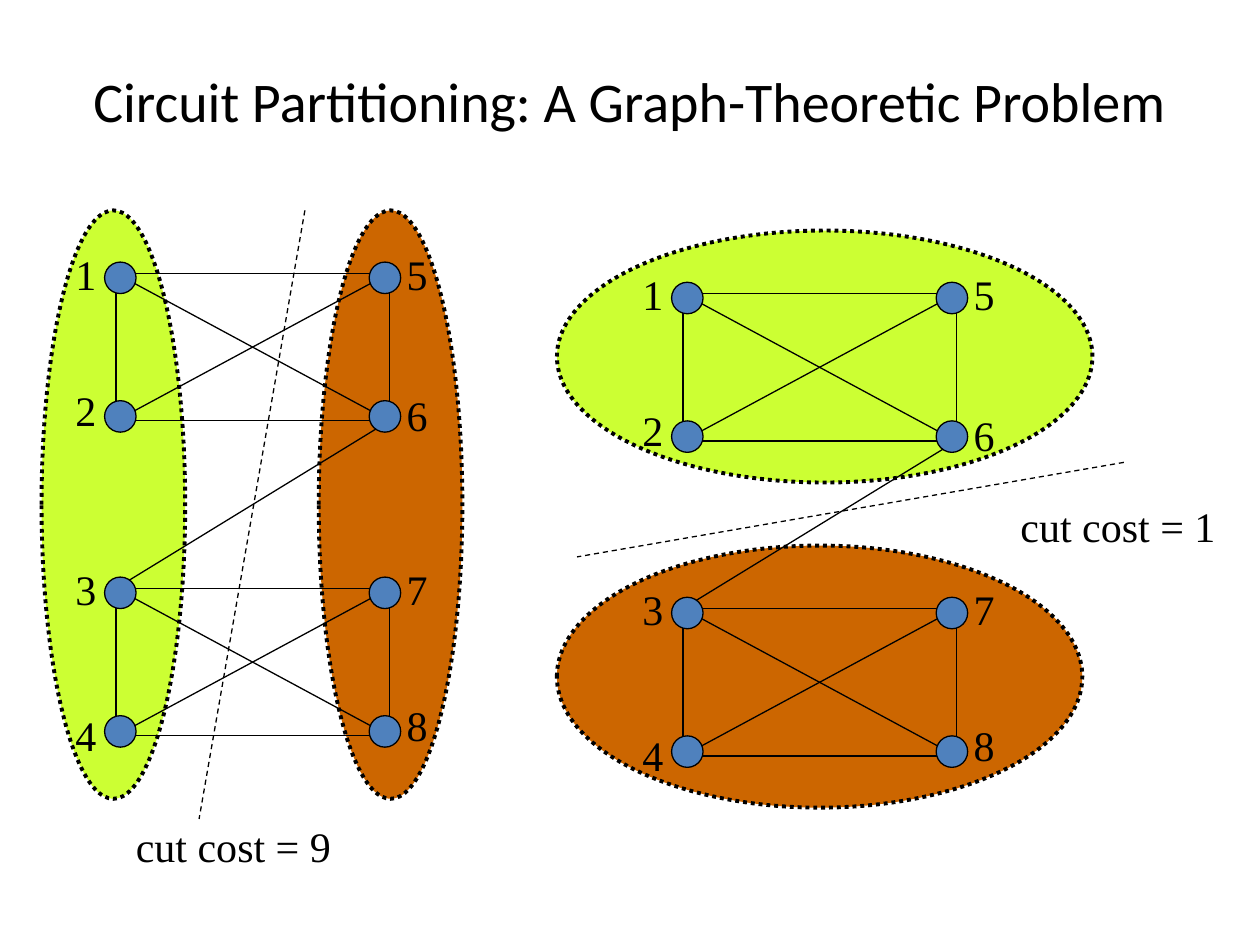
from itertools import product

from pptx import Presentation
from pptx.dml.color import RGBColor
from pptx.enum.dml import MSO_LINE_DASH_STYLE as DASH
from pptx.enum.shapes import MSO_CONNECTOR, MSO_SHAPE as SHAPE
from pptx.enum.text import MSO_ANCHOR as ANCHOR, MSO_AUTO_SIZE as AUTO_SIZE, PP_ALIGN as ALIGN
from pptx.oxml.ns import qn
from pptx.util import Inches, Pt

BLACK, LIME, ORANGE, BLUE = "000000", "CCFF33", "CC6600", "4F81BD"
TITLE_FORMAT = {"name": "Calibri", "size": Pt(32)}
LABEL_FORMAT = {"name": "Times New Roman", "size": Pt(24)}

# Graph geometry: two square cells, one above the other
CELL_W, CELL_H, CELL_STEP = 2.17, 1.17, 2.5
NODE_SIZE, NODE_INSET = 0.25, 0.09
LABEL_W, LABEL_H = 0.36, 0.5
NODE_XS = (-NODE_INSET, CELL_W - NODE_SIZE + NODE_INSET)
NODE_YS = (-NODE_INSET, CELL_H - NODE_SIZE + NODE_INSET)
LABEL_COLUMNS = (
    (-0.42, {"1": -0.25, "2": 0.83, "3": 2.25, "4": 3.41}),
    (2.21, {"5": -0.25, "6": 0.87, "7": 2.25, "8": 3.33}),
)


def rgb(color):
    return RGBColor.from_string(color)


def set_line(line, width=0.75, dash=None):
    line.color.rgb = rgb(BLACK)
    line.width = Pt(width)
    if dash:
        line.dash_style = dash


def format_text(paragraph, text, formats):
    paragraph.text = text
    font = paragraph.font
    for key, value in formats.items():
        setattr(font, key, value)
    font.color.rgb = rgb(BLACK)


def add_outline(slide, kind, box, fill=None, **line_format):
    shape = slide.shapes.add_shape(kind, *map(Inches, box))
    shape.shadow.inherit = False
    if fill:
        shape.fill.solid()
        shape.fill.fore_color.rgb = rgb(fill)
    else:
        shape.fill.background()
    set_line(shape.line, **line_format)


def add_edge(slide, start, end, dash=None):
    edge = slide.shapes.add_connector(MSO_CONNECTOR.STRAIGHT, *map(Inches, (*start, *end)))
    properties = edge._element.spPr
    set_line(edge.line, dash=dash)
    properties.append(properties.makeelement(qn("a:effectLst"), {}))


def add_label(slide, box, text, align=ALIGN.LEFT, anchor=ANCHOR.TOP):
    frame = slide.shapes.add_textbox(*map(Inches, box)).text_frame
    frame.word_wrap = False
    frame.auto_size = AUTO_SIZE.SHAPE_TO_FIT_TEXT
    frame.vertical_anchor = anchor
    frame.paragraphs[0].alignment = align
    format_text(frame.paragraphs[0], text, LABEL_FORMAT)


def add_title(slide, box, text):
    title = slide.shapes.title
    title.left, title.top, title.width, title.height = map(Inches, box)
    title.text_frame.vertical_anchor = ANCHOR.MIDDLE
    title.text_frame.paragraphs[0].alignment = ALIGN.CENTER
    format_text(title.text_frame.paragraphs[0], text, TITLE_FORMAT)


def add_partitions(slide, partitions):
    for box, fill in partitions:
        add_outline(slide, SHAPE.OVAL, box, fill, width=2.25, dash=DASH.ROUND_DOT)


def add_graph(slide, left, top):
    right = left + CELL_W
    cell_tops = (top, top + CELL_STEP)

    # Edges: sides and diagonals of each cell, then the link between cells
    for cell_top in cell_tops:
        bottom = cell_top + CELL_H
        add_outline(slide, SHAPE.RECTANGLE, (left, cell_top, CELL_W, CELL_H))
        add_edge(slide, (left, cell_top), (right, bottom))
        add_edge(slide, (right, cell_top), (left, bottom))
    add_edge(slide, (right, top + CELL_H), (left, cell_tops[1]))

    # Nodes
    for cell_top, y, x in product(cell_tops, NODE_YS, NODE_XS):
        add_outline(slide, SHAPE.OVAL, (left + x, cell_top + y, NODE_SIZE, NODE_SIZE), BLUE)

    # Node numbers
    for x, numbers in LABEL_COLUMNS:
        for number, y in numbers.items():
            add_label(slide, (left + x, top + y, LABEL_W, LABEL_H), number,
                      ALIGN.CENTER, ANCHOR.MIDDLE)


def add_cut(slide, start, end, cost_box, cost):
    add_edge(slide, start, end, DASH.DASH)
    add_label(slide, cost_box, f"cut cost = {cost}")


def main():
    deck = Presentation()
    deck.slide_width, deck.slide_height = Inches(10), Inches(7.5)
    slide = deck.slides.add_slide(deck.slide_layouts[5])

    add_title(slide, (0, 0.17, 10, 1.25), "Circuit Partitioning: A Graph-Theoretic Problem")

    # Left: vertical partitions, expensive cut
    add_partitions(slide, [((2.53, 1.67, 1.14, 4.67), ORANGE),
                           ((0.33, 1.67, 1.14, 4.67), LIME)])
    add_graph(slide, 0.92, 2.17)
    add_cut(slide, (2.42, 1.67), (1.58, 6.5), (0.98, 6.46, 1.75, 0.5), 9)

    # Right: horizontal partitions, cheap cut
    add_partitions(slide, [((4.42, 4.33, 4.17, 2.08), ORANGE),
                           ((4.42, 1.83, 4.25, 2), LIME)])
    add_graph(slide, 5.42, 2.33)
    add_cut(slide, (8.92, 3.67), (4.58, 4.42), (8, 3.92, 1.75, 0.5), 1)

    deck.save("out.pptx")


if __name__ == "__main__":
    main()
